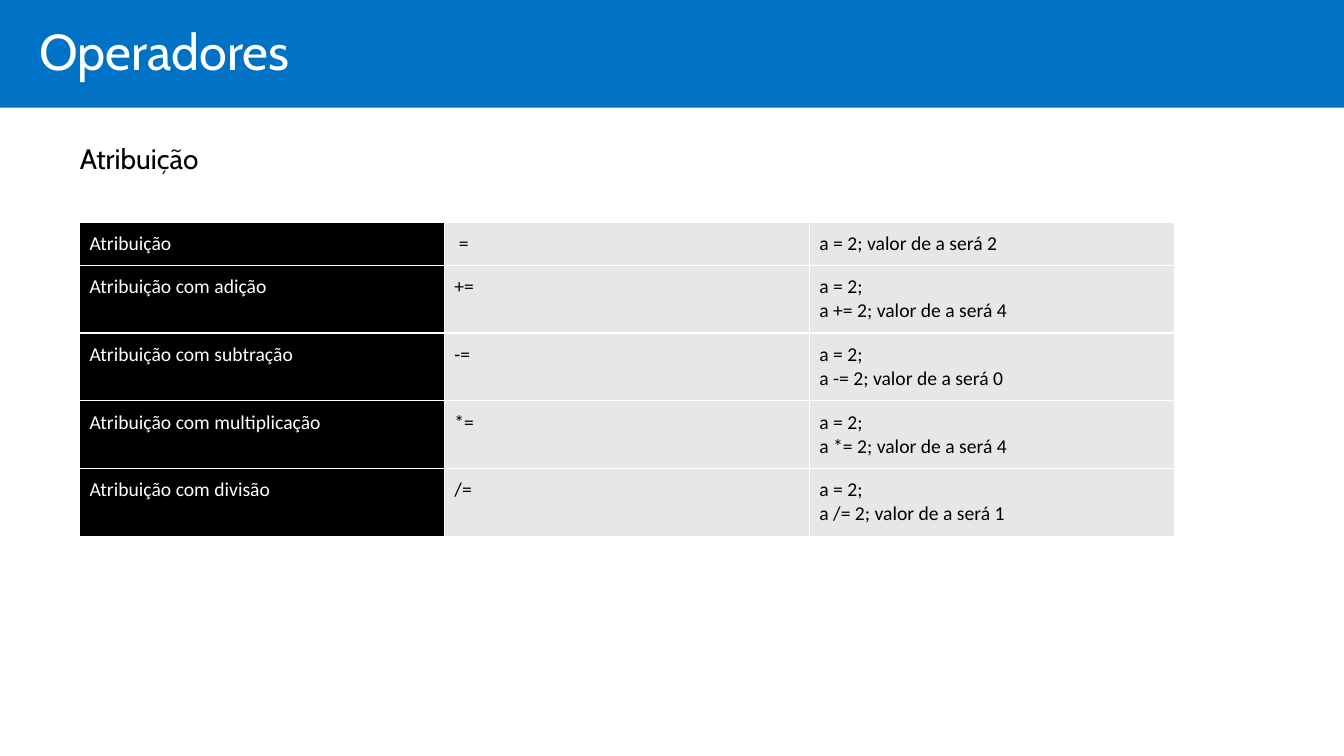
from lxml import etree
from pptx import Presentation
from pptx.dml.color import RGBColor
from pptx.enum.shapes import MSO_SHAPE
from pptx.enum.text import MSO_ANCHOR, PP_ALIGN
from pptx.oxml.ns import qn
from pptx.util import Pt

BLUE = RGBColor(0x00, 0x72, 0xC6)
BLACK = RGBColor(0x00, 0x00, 0x00)
WHITE = RGBColor(0xFF, 0xFF, 0xFF)
GRAY = RGBColor(0xE7, 0xE7, 0xE7)


def write_heading(shape, text, size, color, indent, spacing):
    text_frame = shape.text_frame
    text_frame.word_wrap = True
    text_frame.vertical_anchor = MSO_ANCHOR.MIDDLE
    text_frame.margin_left = Pt(indent)
    text_frame.margin_right = text_frame.margin_top = text_frame.margin_bottom = 0
    text_frame.text = text
    paragraph = text_frame.paragraphs[0]
    paragraph.alignment = PP_ALIGN.LEFT
    paragraph.line_spacing = spacing
    font = paragraph.runs[0].font
    font.name, font.size, font.color.rgb = "Cabin", Pt(size), color


def add_borders(cell):
    properties = cell._tc.get_or_add_tcPr()
    for position, side in enumerate(("a:lnL", "a:lnR", "a:lnT", "a:lnB")):
        line = etree.Element(qn(side), w=str(Pt(1)))
        fill = etree.SubElement(line, qn("a:solidFill"))
        etree.SubElement(fill, qn("a:srgbClr"), val=str(WHITE))
        properties.insert(position, line)


presentation = Presentation()
presentation.slide_width, presentation.slide_height = Pt(960), Pt(540)
slide = presentation.slides.add_slide(presentation.slide_layouts[6])

# Title band
band = slide.shapes.add_shape(MSO_SHAPE.RECTANGLE, 0, 0, Pt(960), Pt(77))
band.shadow.inherit = False
band.fill.solid()
band.fill.fore_color.rgb = BLUE
band.line.fill.background()
write_heading(band, "Operadores", 36, WHITE, 28, 0.9)

# Subtitle
subtitle = slide.shapes.add_textbox(0, Pt(83.5), Pt(933), Pt(55))
write_heading(subtitle, "Atribuição", 20, BLACK, 57, 1.2)

# Table of assignment operators
operators = [
    ("Atribuição", " =", "a = 2; valor de a será 2"),
    ("Atribuição com adição", "+=", "a = 2;\na += 2; valor de a será 4"),
    ("Atribuição com subtração", "-=", "a = 2;\na -= 2; valor de a será 0"),
    ("Atribuição com multiplicação", "*=", "a = 2;\na *= 2; valor de a será 4"),
    ("Atribuição com divisão", "/=", "a = 2;\na /= 2; valor de a será 1"),
]
table = slide.shapes.add_table(
    len(operators), 3, Pt(57), Pt(158.5), Pt(782), Pt(224.6)).table
for column in table.columns:
    column.width = Pt(260.67)

for row_index, values in enumerate(operators):
    table.rows[row_index].height = Pt(48.4 if "\n" in values[2] else 31)
    for column_index, value in enumerate(values):
        cell = table.cell(row_index, column_index)
        is_name = column_index == 0
        cell.margin_left = cell.margin_right = Pt(7)
        cell.margin_top = cell.margin_bottom = Pt(7)
        cell.fill.solid()
        cell.fill.fore_color.rgb = BLACK if is_name else GRAY
        add_borders(cell)
        cell.text_frame.text = value
        for paragraph in cell.text_frame.paragraphs:
            font = paragraph.runs[0].font
            font.name, font.size, font.bold = "Calibri", Pt(14), False
            font.color.rgb = WHITE if is_name else BLACK

presentation.save("out.pptx")
